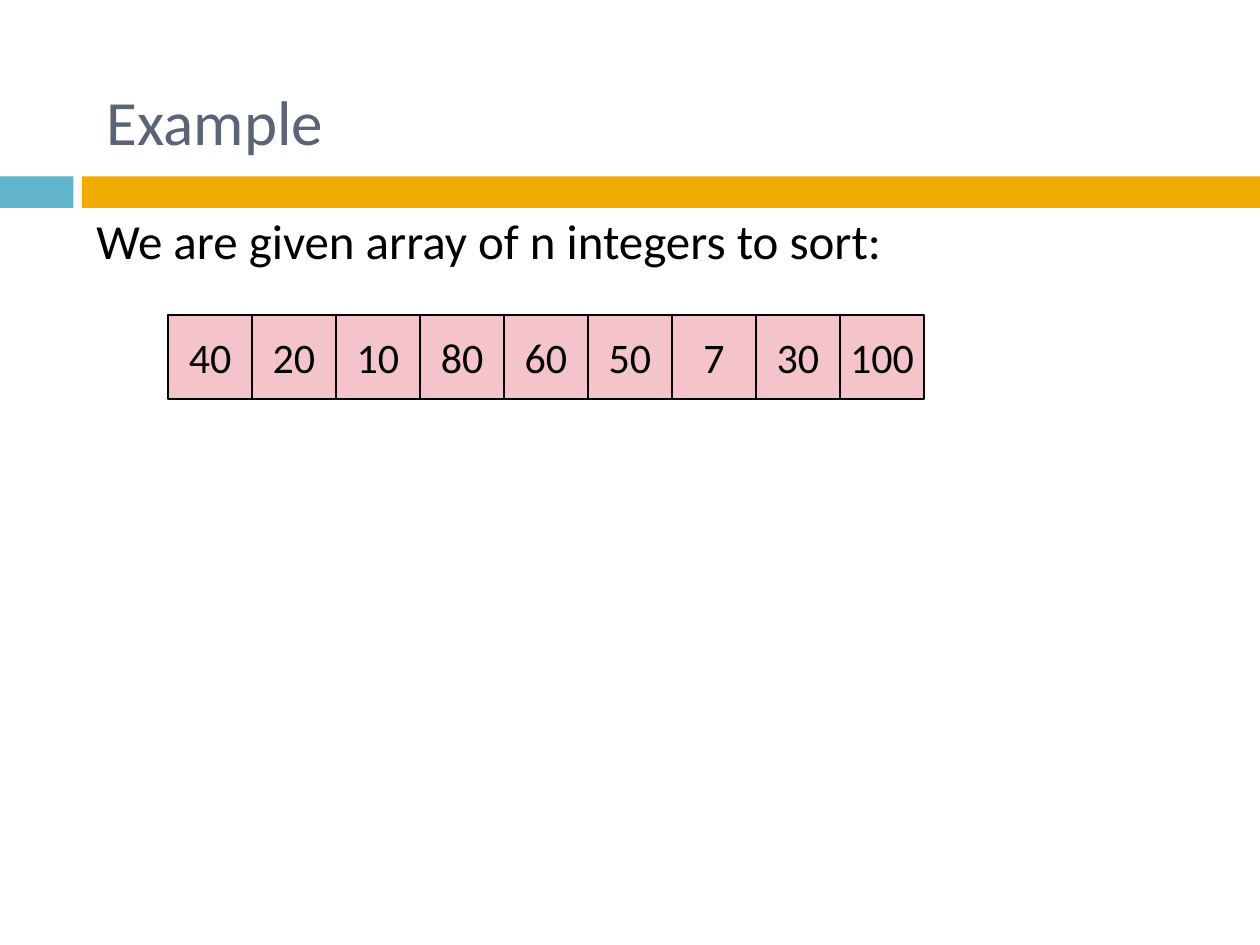
from pptx import Presentation
from pptx import util as u
from pptx.dml.color import RGBColor
from pptx.enum import shapes, text

WHITE = RGBColor(0xFF, 0xFF, 0xFF)
BLACK = RGBColor(0x00, 0x00, 0x00)
SLATE = RGBColor(0x5A, 0x63, 0x78)
BLUE = RGBColor(0x60, 0xB5, 0xCC)
AMBER = RGBColor(0xF0, 0xAD, 0x00)
PINK = RGBColor(0xF5, 0xC4, 0xCB)

COLUMNS, ROWS = 120, 90
CELL = 8
NUMBERS = [40, 20, 10, 80, 60, 50, 7, 30, 100]


def write(frame, words, size, color=BLACK, font="Calibri", align=text.PP_ALIGN.LEFT,
          anchor=text.MSO_ANCHOR.TOP, wrap=True, before=0, hanging=0):
    frame.word_wrap = wrap
    frame.vertical_anchor = anchor
    para = frame.paragraphs[0]
    para.alignment = align
    para.space_before = u.Pt(before)
    if hanging:
        properties = para._p.get_or_add_pPr()
        properties.set("marL", str(u.Inches(hanging)))
        properties.set("indent", str(-u.Inches(hanging)))
    span = para.add_run()
    span.text = words
    span.font.name = font
    span.font.size = u.Pt(size)
    span.font.color.rgb = color


class Page:
    def __init__(self, deck):
        self.deck = deck
        self.page = deck.slides.add_slide(deck.slide_layouts[6])
        self.page.background.fill.solid()
        self.page.background.fill.fore_color.rgb = WHITE

    def place(self, column, row, columns, rows):
        across = self.deck.slide_width / COLUMNS
        down = self.deck.slide_height / ROWS
        return [round(n) for n in
                (column * across, row * down, columns * across, rows * down)]

    def bar(self, *area, fill):
        box = self.page.shapes.add_shape(shapes.MSO_SHAPE.RECTANGLE, *self.place(*area))
        box.shadow.inherit = False
        box.fill.solid()
        box.fill.fore_color.rgb = fill
        box.line.fill.background()
        return box

    def cell(self, column, row, number):
        box = self.bar(column, row, CELL, CELL, fill=PINK)
        box.line.color.rgb = BLACK
        box.line.width = u.Pt(0.75)
        write(box.text_frame, str(number), 24, align=text.PP_ALIGN.CENTER,
              anchor=text.MSO_ANCHOR.MIDDLE, wrap=False)

    def words(self, *area, **style):
        box = self.page.shapes.add_textbox(*self.place(*area))
        write(box.text_frame, **style)


def main():
    deck = Presentation()
    deck.slide_width = u.Inches(10)
    deck.slide_height = u.Inches(7.5)
    page = Page(deck)
    page.bar(0, 16.8, 7, 3, fill=BLUE)
    page.bar(7.8, 16.8, COLUMNS - 7.8, 3, fill=AMBER)
    page.words(9, 4, 102, 15, words="Example", size=36, color=SLATE,
               anchor=text.MSO_ANCHOR.MIDDLE)
    page.words(8, 19.5, 102, 54, words="We are given array of n integers to sort:",
               size=28, before=7, hanging=0.35)
    for index, number in enumerate(NUMBERS):
        page.cell(16 + index * CELL, 30, number)
    deck.save("out.pptx")


if __name__ == "__main__":
    main()
